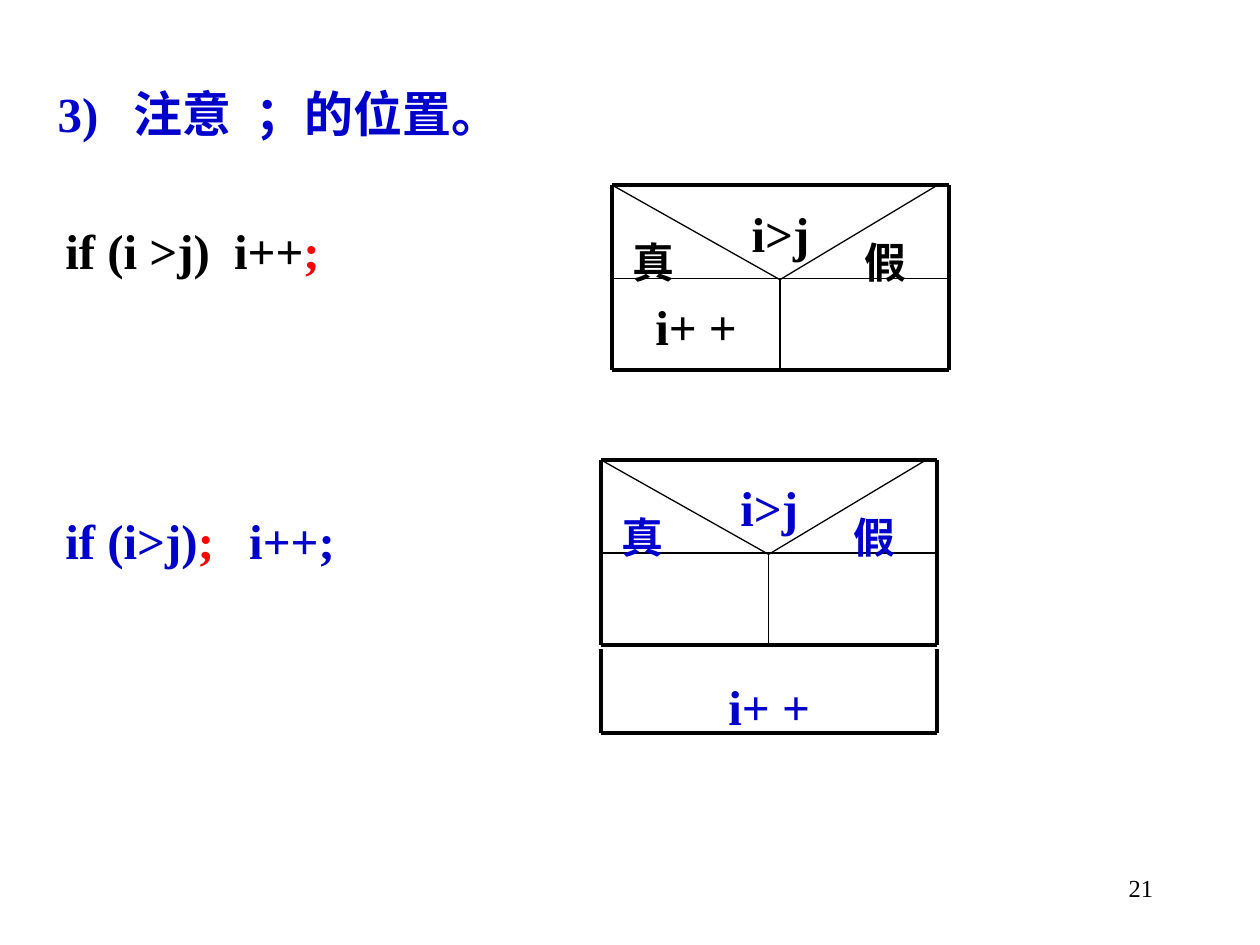
from lxml.etree import SubElement
from pptx import Presentation
from pptx.dml.color import RGBColor
from pptx.enum.shapes import MSO_CONNECTOR
from pptx.enum.text import PP_ALIGN
from pptx.oxml.ns import qn
from pptx.util import Inches, Pt

BLACK = RGBColor(0, 0, 0)
BLUE = RGBColor(0, 0, 0xCC)
RED = RGBColor(0xFF, 0, 0)

deck = Presentation()
deck.slide_width, deck.slide_height = Inches(10), Inches(7.5)
slide = deck.slides.add_slide(deck.slide_layouts[6])


def write(box, lines, size=28, align=PP_ALIGN.LEFT, bold=True, inset=None, gap=0):
    """Each line is (tab stops, [(text, colour), ...])."""
    frame = slide.shapes.add_textbox(*[Inches(n) for n in box]).text_frame
    frame.word_wrap = True
    if inset is not None:
        frame.margin_left = frame.margin_right = Inches(inset)
        frame.margin_top = frame.margin_bottom = Inches(inset)
    for row, (stops, parts) in enumerate(lines):
        para = frame.add_paragraph() if row else frame.paragraphs[0]
        para.alignment = align
        para.line_spacing = 1.2
        para.space_before = Pt(gap if row else 0)
        if stops:
            tabs = SubElement(para._p.get_or_add_pPr(), qn("a:tabLst"))
            for stop in stops:
                SubElement(tabs, qn("a:tab"), pos=str(Inches(stop)), algn="l")
        for text, color in parts:
            run = para.add_run()
            run.text = text
            run.font.name = "Times New Roman"
            run.font.size = Pt(size)
            run.font.bold = bold
            run.font.color.rgb = color


def rule(x1, y1, x2, y2, width):
    line = slide.shapes.add_connector(
        MSO_CONNECTOR.STRAIGHT, Inches(x1), Inches(y1), Inches(x2), Inches(y2))
    line.line.color.rgb = BLACK
    line.line.width = Pt(width)
    SubElement(line._element.spPr, qn("a:effectLst"))


# Heading
write((0.36, 0.52, 4, 0.66), [([0.6, 1.57], [("3)\t注意\t；的位置。", BLUE)])])

# The two statements
write((0.42, 1.61, 3.17, 2.67), [
    ([1.34], [("if (i >j)\ti++", BLACK), (";", RED)]),
    ([1.46], [("if (i>j)", BLUE), (";", RED), ("\ti++;", BLUE)]),
], gap=125)

# Branch charts: two columns by two rows
COL, ROW = 1.33, 0.74
WIDE, HIGH = 2.67, 1.47
HEAVY, THIN, FINE = 2.25, 1, 0.75
CENTER = PP_ALIGN.CENTER

for left, top, color in [(4.86, 1.47, BLACK), (4.77, 3.65, BLUE)]:
    right, low = left + WIDE, top + HIGH
    mid, half = left + COL, top + ROW
    write((left, top, WIDE, ROW), [([], [("i>j", color)])], align=CENTER)
    for y, width in [(top, HEAVY), (half, THIN), (low, HEAVY)]:
        rule(left, y, right, y, width)
    for x, start, width in [(left, top, HEAVY), (mid, half, THIN), (right, top, HEAVY)]:
        rule(x, start, x, low, width)
    rule(left, top, mid, half + 0.01, FINE)
    rule(mid, half + 0.01, right - 0.09, top, FINE)
    for word, shift in [("真", 0.08), ("假", 1.92)]:
        write((left + shift, top + 0.33, 0.5, 0.4), [([], [(word, color)])],
              size=24, align=CENTER, inset=0)

# Step inside the true branch
write((4.86, 2.21, COL, ROW), [([], [("i+ +", BLACK)])], align=CENTER)

# Step below the second chart
write((5.27, 5.23, 1.67, 0.57), [([], [("i+ +", BLUE)])], align=CENTER)
base = low + 0.7
for x in (left, right):
    rule(x, low + 0.03, x, base, HEAVY)
rule(left, base, right, base, HEAVY)

# Page number
write((7.17, 6.83, 2.08, 0.5), [([], [("21", BLACK)])],
      size=14, align=PP_ALIGN.RIGHT, bold=False)

deck.save("out.pptx")
